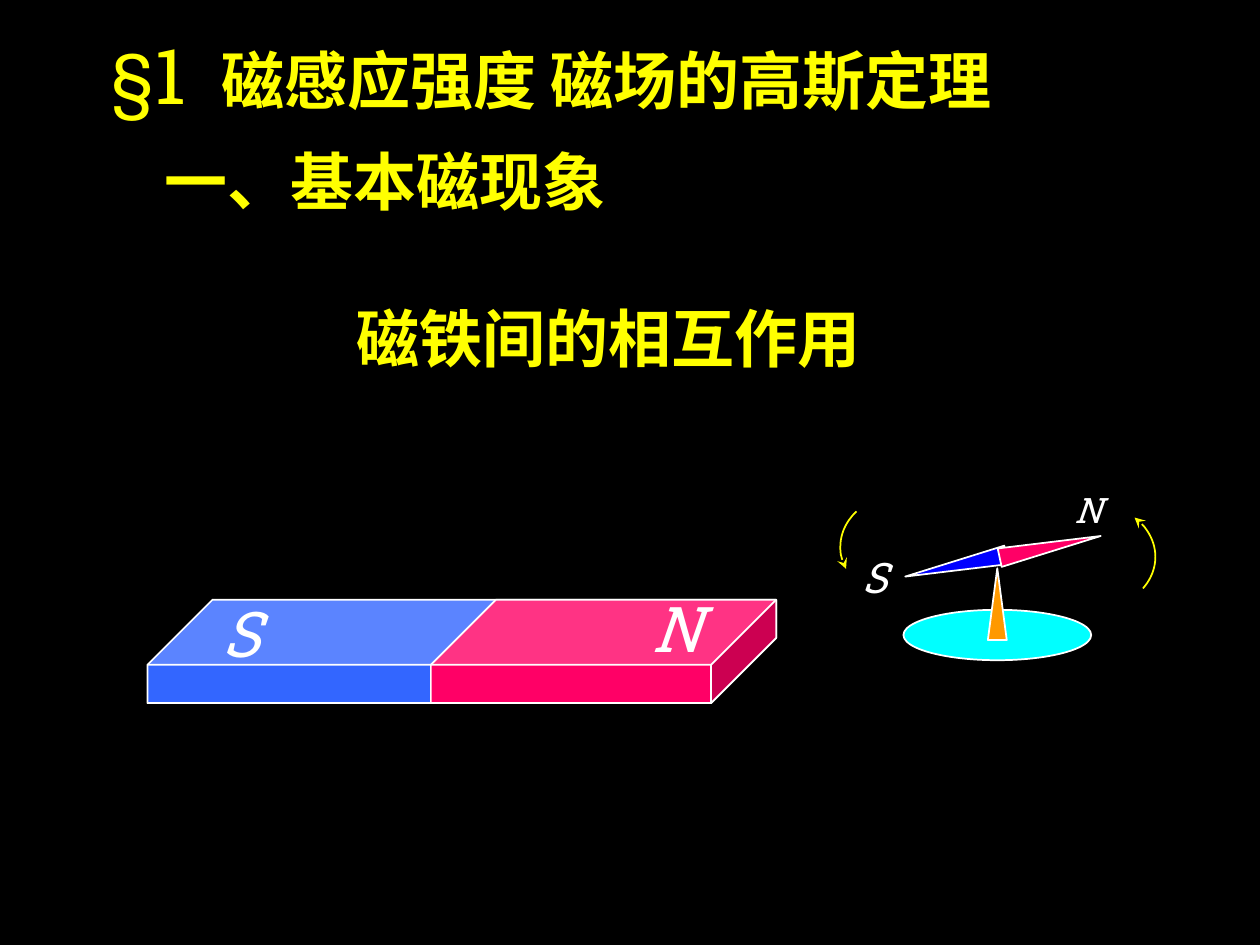
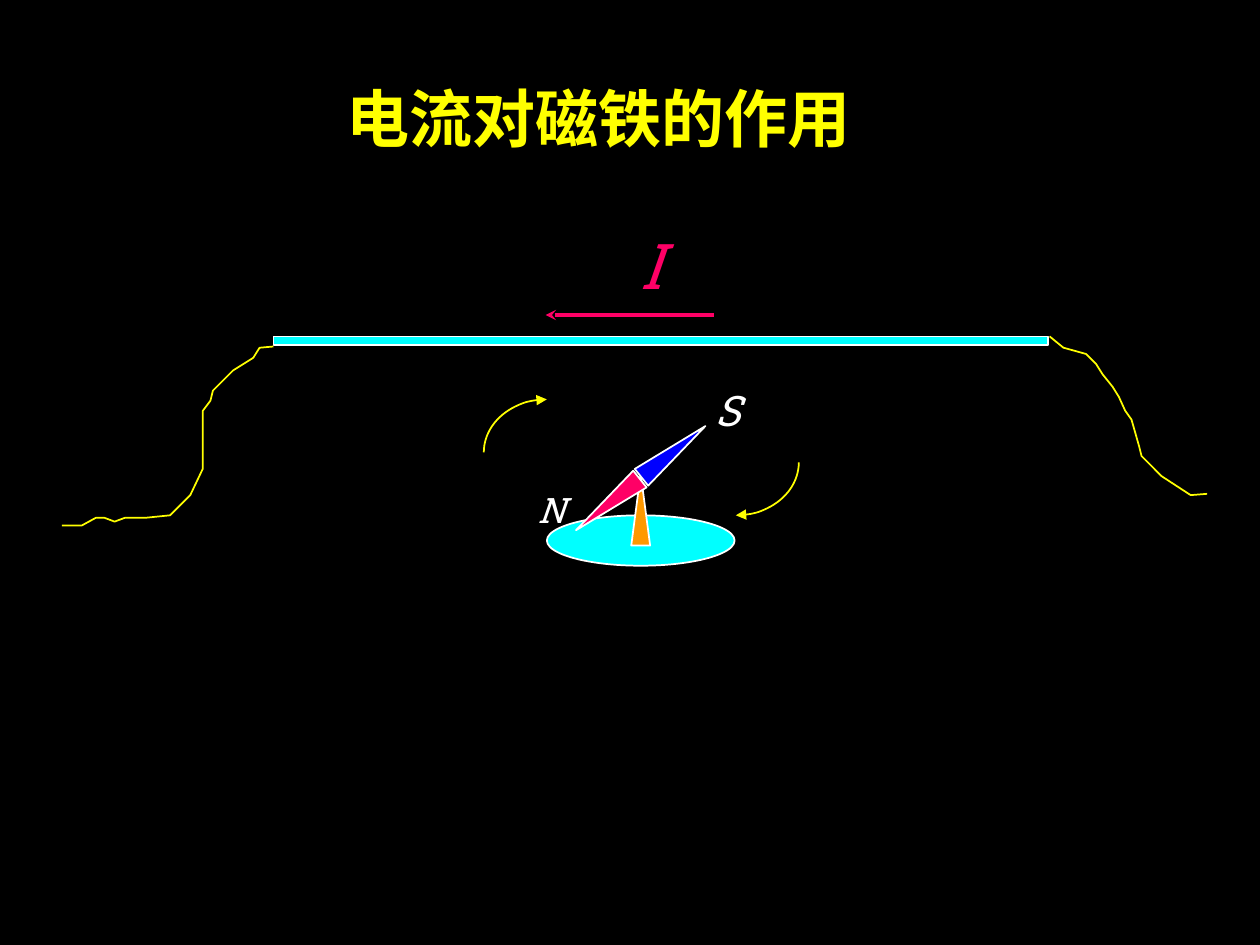
from lxml.etree import SubElement
from pptx import Presentation
from pptx.dml.color import RGBColor
from pptx.enum.shapes import MSO_CONNECTOR, MSO_SHAPE
from pptx.oxml.ns import qn
from pptx.util import Pt

PX = 9144  # 100 px to the inch
BLACK, WHITE, YELLOW = "000000", "FFFFFF", "FFFF00"
CYAN, ORANGE = "00FFFF", "FF9900"
BLUE, SOUTH_BLUE, NORTH_RED = "3366FF", "0000FF", "FF0066"
SLAB, SANS = "Roboto Slab", "Noto Sans CJK SC"


def add_text(page, bounds, text, size, colour, font=SLAB, bold=False, italic=False):
    box = page.shapes.add_textbox(*(length * PX for length in bounds))
    box.text_frame.word_wrap = False
    para = box.text_frame.paragraphs[0]
    para.text = text
    para.font.size = Pt(size)
    para.font.bold = bold
    para.font.italic = italic
    para.font.color.rgb = RGBColor.from_string(colour)
    para.font.name = font
    east_asian = SubElement(para._p.pPr.find(qn("a:defRPr")), qn("a:ea"))
    east_asian.set("typeface", SANS)
    return para


def finish(shape, line, fill=None, width=1, arrow=None):
    """Set outline and fill, remove the shadow, and add an arrowhead (end, type)."""
    if fill:
        shape.fill.solid()
        shape.fill.fore_color.rgb = RGBColor.from_string(fill)
    elif hasattr(shape, "fill"):
        shape.fill.background()
    shape.line.color.rgb = RGBColor.from_string(line)
    shape.line.width = Pt(width)
    if arrow:
        SubElement(shape.line._get_or_add_ln(), qn("a:" + arrow[0])).set("type", arrow[1])
    SubElement(shape._element.spPr, qn("a:effectLst"))


deck = Presentation()
deck.slide_width, deck.slide_height = 1000 * PX, 750 * PX
magnet_page, current_page = (deck.slides.add_slide(deck.slide_layouts[6]) for _ in range(2))
for page in deck.slides:
    page.background.fill.solid()
    page.background.fill.fore_color.rgb = RGBColor.from_string(BLACK)

# Section title: the tab stop sets the gap after the number
title = add_text(magnet_page, (79, 17, 731, 83), "", 36, YELLOW)
tabs = SubElement(title._p.pPr, qn("a:tabLst"))
title._p.pPr.insert(0, tabs)
tab = SubElement(tabs, qn("a:tab"))
tab.set("pos", str(87 * PX))
tab.set("algn", "l")
for words, size, bold in [("§", 40, False), ("1", 44, False),
                          ("\t磁感应强度 磁场的高斯定理", 36, True)]:
    span = title.add_run()
    span.text = words
    span.font.size = Pt(size)
    span.font.bold = bold

# Headings
add_text(magnet_page, (121, 108, 370, 70), "一、基本磁现象", 36, YELLOW, SANS, bold=True)
add_text(magnet_page, (273, 233, 420, 70), "磁铁间的相互作用", 36, YELLOW, bold=True)
add_text(current_page, (265, 58, 420, 70), "电流对磁铁的作用", 36, YELLOW, bold=True)

# Bar magnet: the red half covers the right end of the blue bar
for left, width, fill in [(117, 499, BLUE), (342, 274, NORTH_RED)]:
    half = magnet_page.shapes.add_shape(
        MSO_SHAPE.CUBE, left * PX, 476 * PX, width * PX, 82 * PX)
    half.adjustments[0] = 0.63
    finish(half, WHITE, fill)
add_text(magnet_page, (167, 467, 75, 70), "S", 36, WHITE, italic=True)
add_text(magnet_page, (508, 463, 56, 70), "N", 36, WHITE, italic=True)

# Conducting rod
rod = current_page.shapes.add_shape(MSO_SHAPE.RECTANGLE, 217 * PX, 267 * PX, 615 * PX, 7 * PX)
finish(rod, WHITE, CYAN)

# Loose wires at both ends of the rod
left_wire = [(217, 275), (206, 276), (201, 284), (185, 294), (169, 310), (167, 318),
             (161, 326), (161, 372), (151, 393), (135, 409), (115, 411), (99, 411),
             (91, 414), (83, 411), (76, 411), (65, 417), (49, 417)]
right_wire = [(833, 267), (844, 276), (862, 281), (870, 289), (875, 297), (883, 307),
              (888, 315), (893, 326), (898, 333), (904, 354), (906, 362), (922, 378),
              (945, 393), (958, 392)]
for start, *bends in (left_wire, right_wire):
    builder = current_page.shapes.build_freeform(*start, scale=PX)
    builder.add_line_segments(bends, close=False)
    finish(builder.convert_to_shape(), YELLOW)

# Current direction
current = current_page.shapes.add_connector(
    MSO_CONNECTOR.STRAIGHT, 433 * PX, 250 * PX, 567 * PX, 250 * PX)
finish(current, NORTH_RED, width=2, arrow=("headEnd", "stealth"))
add_text(current_page, (498, 175, 36, 70), "I", 36, NORTH_RED, italic=True)

# Compasses: base corner, needle halves (bounds, angle, fill),
# turning arcs (centre, start and end degrees), arrowhead, corners of S and N
compasses = [
    (magnet_page, (717, 484),
     [((751, 408, 15, 82), 257.9, SOUTH_BLUE), ((826, 393, 15, 82), 77.9, NORTH_RED)],
     [((717, 434), 159, 217), ((867, 442), 317, 32)],
     ("headEnd", "stealth"), (675, 433), (843, 383)),
    (current_page, (434, 409),
     [((526, 326, 17, 65), 51.3, SOUTH_BLUE), ((474, 368, 17, 65), 231.3, NORTH_RED)],
     [((434, 359), 180, 270), ((584, 367), 0, 90)],
     ("tailEnd", "triangle"), (558, 300), (417, 383)),
]
for page, (left, top), needle, arcs, arrow, south, north in compasses:
    base = page.shapes.add_shape(MSO_SHAPE.OVAL, left * PX, top * PX, 149 * PX, 40 * PX)
    finish(base, WHITE, CYAN)
    pivot = page.shapes.add_shape(
        MSO_SHAPE.ISOSCELES_TRIANGLE, (left + 67) * PX, (top - 33) * PX, 15 * PX, 57 * PX)
    finish(pivot, WHITE, ORANGE)
    for bounds, angle, fill in needle:
        half = page.shapes.add_shape(
            MSO_SHAPE.ISOSCELES_TRIANGLE, *(length * PX for length in bounds))
        half.rotation = angle
        finish(half, WHITE, fill)
    for (x, y), start, end in arcs:
        arc = page.shapes.add_shape(
            MSO_SHAPE.ARC, (x - 50) * PX, (y - 42) * PX, 100 * PX, 84 * PX)
        # Angles are stored in 60000ths of a degree, adjustments in 100000ths
        arc.adjustments[0], arc.adjustments[1] = start * 0.6, end * 0.6
        finish(arc, YELLOW, arrow=arrow)
    add_text(page, (*south, 42, 50), "S", 24, WHITE, italic=True)
    add_text(page, (*north, 40, 43), "N", 20, WHITE, italic=True)

deck.save("out.pptx")
